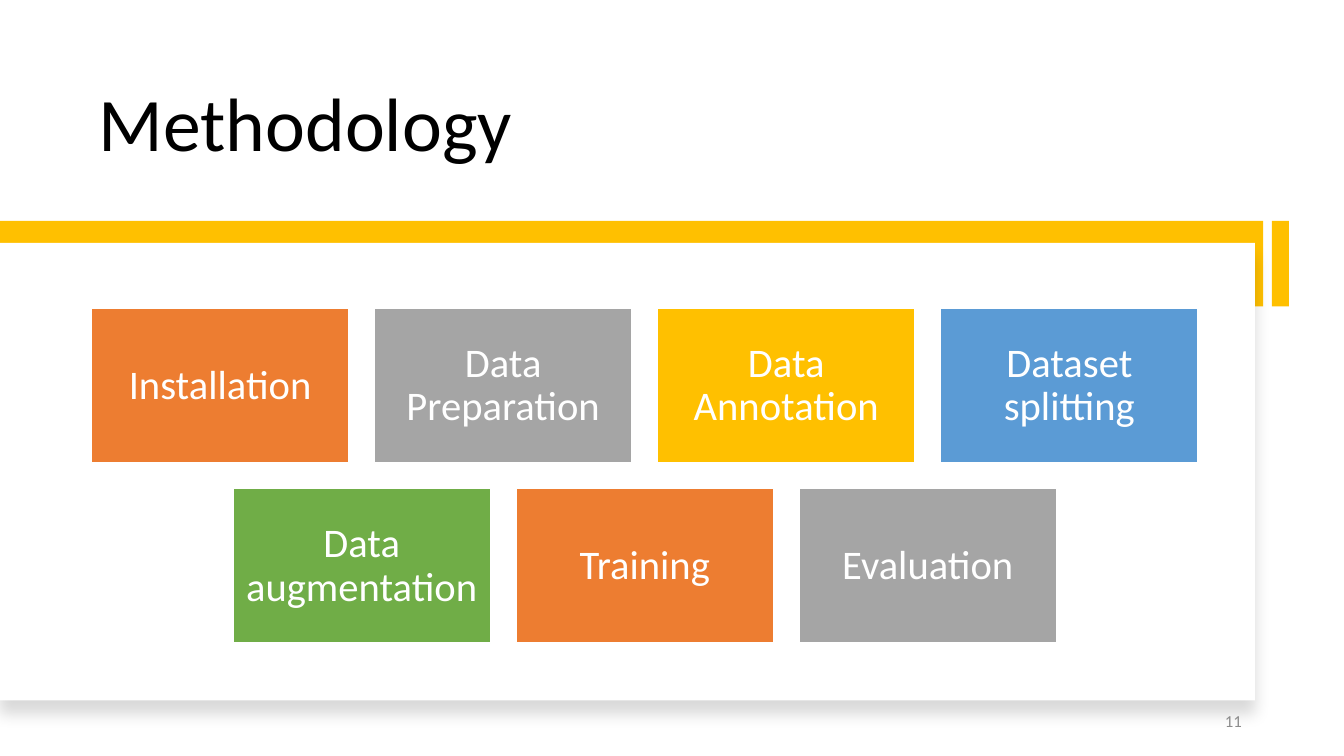
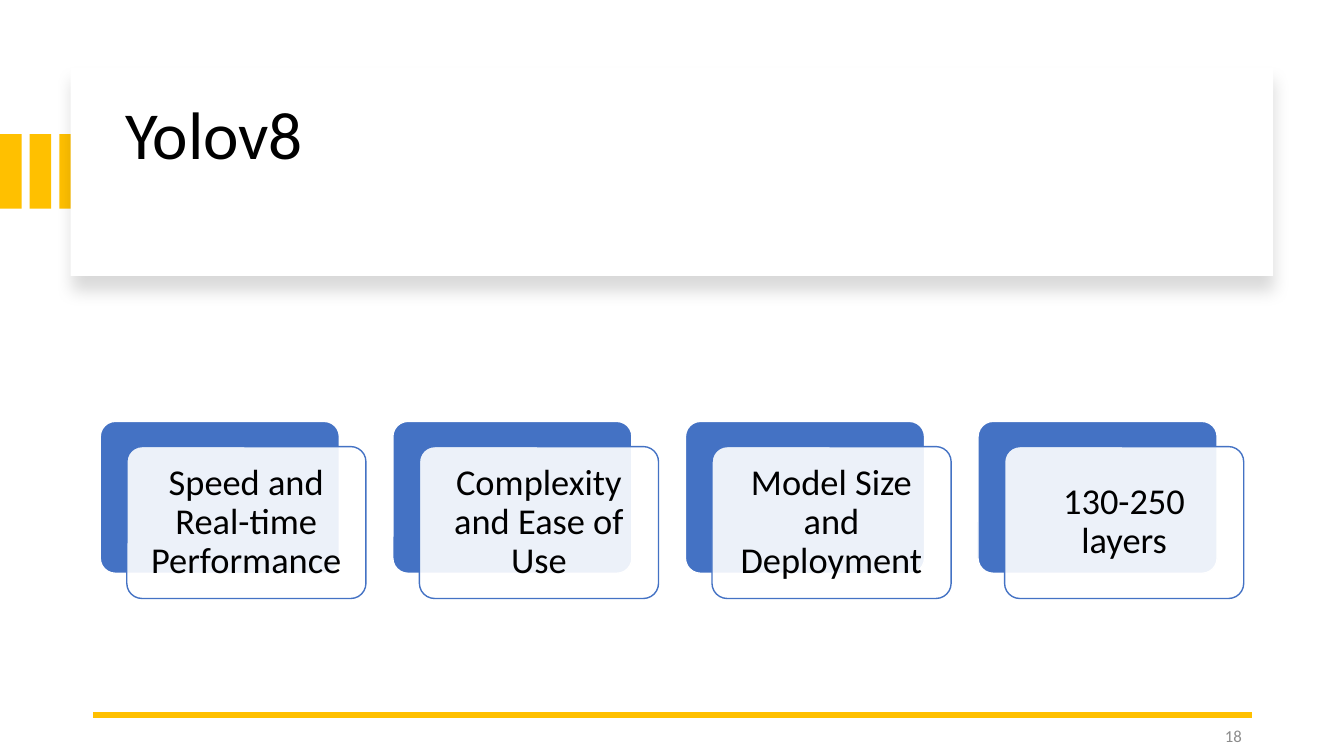
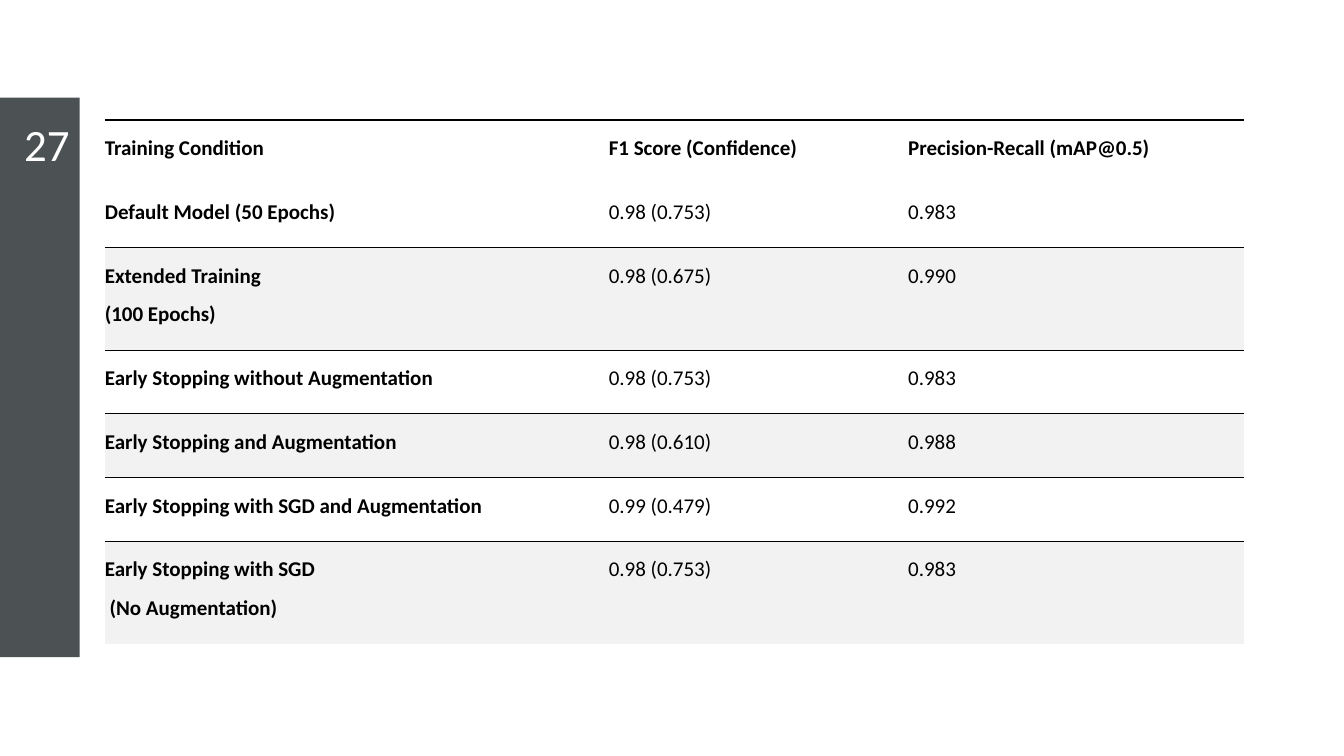
from typing import NamedTuple, Optional

import pptx
import pptx.dml.color
import pptx.enum.shapes
import pptx.enum.text
import pptx.oxml
import pptx.oxml.ns
import pptx.util
from lxml import etree

Pt = pptx.util.Pt
ALIGN = pptx.enum.text.PP_ALIGN
ANCHOR = pptx.enum.text.MSO_ANCHOR
SHAPE = pptx.enum.shapes.MSO_SHAPE
qn = pptx.oxml.ns.qn

FONT = "Calibri"
TITLE_ONLY, BLANK = 5, 6
NO_STYLE_GRID = "{2D5ABB26-0587-4C30-8999-92F81FD0307C}"
COLORS = {
    "white": "FFFFFF",
    "black": "000000",
    "gold": "FFC000",
    "orange": "ED7D31",
    "gray": "A5A5A5",
    "sky": "5B9BD5",
    "green": "70AD47",
    "blue": "4472C4",
    "slate": "4C5254",
    "number": "8C8C8C",
    "stripe": "F2F2F2",
}


class Box(NamedTuple):
    left: float
    top: float
    width: float
    height: float

    def lengths(self) -> list:
        return [Pt(value) for value in self]


class Step(NamedTuple):
    label: str
    color: str


class Result(NamedTuple):
    condition: str
    f1_score: str
    precision_recall: str
    height: float = 45.4


STEP_ROWS = [
    [
        Step("Installation", "orange"),
        Step("Data Preparation", "gray"),
        Step("Data Annotation", "gold"),
        Step("Dataset splitting", "sky"),
    ],
    [
        Step("Data augmentation", "green"),
        Step("Training", "orange"),
        Step("Evaluation", "gray"),
    ],
]
FEATURES = [
    "Speed and Real-time Performance",
    "Complexity and Ease of Use",
    "Model Size and Deployment",
    "130-250 layers",
]
RESULTS = [
    Result("Training Condition", "F1 Score (Confidence)", "Precision-Recall (mAP@0.5)"),
    Result("Default Model (50 Epochs)", "0.98 (0.753)", "0.983"),
    Result("Extended Training\n(100 Epochs)", "0.98 (0.675)", "0.990", 71.4),
    Result("Early Stopping without Augmentation", "0.98 (0.753)", "0.983"),
    Result("Early Stopping and Augmentation", "0.98 (0.610)", "0.988"),
    Result("Early Stopping with SGD and Augmentation", "0.99 (0.479)", "0.992"),
    Result("Early Stopping with SGD\n (No Augmentation)", "0.98 (0.753)", "0.983", 71.4),
]


def rgb(name: str):
    return pptx.dml.color.RGBColor.from_string(COLORS[name])


def write(frame, text: str, *, size: float, color: str = "black", bold: bool = False,
          align=ALIGN.LEFT, spacing: float = 1.0, anchor=None,
          insets: Optional[tuple] = None) -> None:
    if anchor is not None:
        frame.word_wrap = True
        frame.auto_size = pptx.enum.text.MSO_AUTO_SIZE.NONE
        frame.vertical_anchor = anchor
    if insets is not None:
        (frame.margin_left, frame.margin_top,
         frame.margin_right, frame.margin_bottom) = [Pt(inset) for inset in insets]
    frame.text = text
    for paragraph in frame.paragraphs:
        paragraph.alignment = align
        paragraph.line_spacing = spacing
        for run in paragraph.runs:
            run.font.name = FONT
            run.font.size = Pt(size)
            run.font.bold = bold
            run.font.color.rgb = rgb(color)


def add_block(slide, box: Box, fill: str, *, line: Optional[str] = None,
              corner: Optional[float] = None, opacity: int = 100):
    kind = SHAPE.RECTANGLE if corner is None else SHAPE.ROUNDED_RECTANGLE
    block = slide.shapes.add_shape(kind, *box.lengths())
    block.shadow.inherit = False
    if corner is not None:
        block.adjustments[0] = corner
    block.fill.solid()
    block.fill.fore_color.rgb = rgb(fill)
    if opacity < 100:
        fill_color = block.element.spPr.find(qn("a:solidFill"))[0]
        etree.SubElement(fill_color, qn("a:alpha")).set("val", str(opacity * 1000))
    if line is None:
        block.line.fill.background()
    else:
        block.line.color.rgb = rgb(line)
        block.line.width = Pt(1)
    return block


def add_panel(slide, box: Box) -> None:
    panel = add_block(slide, box, "white")
    effects = panel.element.spPr.find(qn("a:effectLst"))
    shadow = etree.SubElement(effects, qn("a:outerShdw"), blurRad=str(Pt(11)),
                              dist=str(Pt(10)), dir="5400000", algn="t", rotWithShape="0")
    shade = etree.SubElement(shadow, qn("a:srgbClr"), val=COLORS["black"])
    etree.SubElement(shade, qn("a:alpha"), val="15000")


def set_title(slide, text: str, box: Box, *, size: float, anchor,
              insets: tuple = (7.2, 3.6, 7.2, 3.6)) -> None:
    title = slide.shapes.title
    title.left, title.top, title.width, title.height = box.lengths()
    title.element.getparent().append(title.element)
    write(title.text_frame, text, size=size, spacing=0.9, anchor=anchor, insets=insets)


def add_number(slide, number: str, box: Box, *, size: float = 12,
               color: str = "number") -> None:
    label = slide.shapes.add_textbox(*box.lengths())
    write(label.text_frame, number, size=size, color=color,
          align=ALIGN.RIGHT, anchor=ANCHOR.MIDDLE)


def set_top_border(cell, width: float) -> None:
    properties = cell._tc.get_or_add_tcPr()
    border = etree.Element(qn("a:lnT"), w=str(Pt(width)))
    fill = etree.SubElement(border, qn("a:solidFill"))
    etree.SubElement(fill, qn("a:srgbClr"), val=COLORS["black"])
    properties.insert(0, border)


def build_methodology(deck) -> None:
    slide = deck.slides.add_slide(deck.slide_layouts[TITLE_ONLY])
    add_block(slide, Box(908.6, 157.7, 12.2, 61.2), "gold")
    add_block(slide, Box(0, 157.7, 902.2, 61.2), "gold")
    add_panel(slide, Box(0, 173.5, 896.4, 326.9))
    set_title(slide, "Methodology", Box(63.4, 30.2, 727.2, 93.6),
              size=54, anchor=ANCHOR.BOTTOM)

    center, top, width = 460.6, 220.5, 183.8
    height, gap = width * 0.6, width * 0.1
    for row, steps in enumerate(STEP_ROWS):
        left = center - (len(steps) * (width + gap) - gap) / 2
        for column, step in enumerate(steps):
            tile = add_block(slide, Box(left + column * (width + gap),
                                        top + row * (height + gap), width, height),
                             step.color, line="white")
            write(tile.text_frame, step.label, size=29, color="white", align=ALIGN.CENTER,
                  spacing=0.9, anchor=ANCHOR.MIDDLE, insets=(8.6,) * 4)
    add_number(slide, "11", Box(678.2, 500.4, 216, 28.8))


def build_yolo(deck) -> None:
    slide = deck.slides.add_slide(deck.slide_layouts[TITLE_ONLY])
    for stripe in range(3):
        add_block(slide, Box(stripe * 21.2, 95.8, 15.4, 53.3), "gold")
    add_panel(slide, Box(50.4, 48.2, 859, 149))
    set_title(slide, "Yolov8", Box(82.1, 64.1, 801.4, 122.4),
              size=48, anchor=ANCHOR.TOP, insets=(7.2, 8.5, 7.2, 3.6))

    rule = slide.shapes.add_connector(pptx.enum.shapes.MSO_CONNECTOR.STRAIGHT,
                                      Pt(894.2), Pt(510.5), Pt(66.2), Pt(510.5))
    rule.line.color.rgb = rgb("gold")
    rule.line.width = Pt(4.5)
    etree.SubElement(rule.element.spPr, qn("a:effectLst"))
    add_number(slide, "18", Box(678.2, 511.2, 216, 28.8))

    for index, feature in enumerate(FEATURES):
        back = Box(71.6 + index * 209, 301, 170.8, 108.5)
        add_block(slide, back, "blue", line="white", corner=0.1)
        front = back._replace(left=back.left + 19, top=back.top + 18)
        card = add_block(slide, front, "white", line="blue", corner=0.1, opacity=90)
        write(card.text_frame, feature, size=26, align=ALIGN.CENTER, spacing=0.9,
              anchor=ANCHOR.MIDDLE, insets=(8,) * 4)


def build_results(deck) -> None:
    slide = deck.slides.add_slide(deck.slide_layouts[BLANK])
    add_block(slide, Box(0, 69.8, 56.9, 399.6), "slate")
    add_number(slide, "27", Box(0, 78.5, 56.9, 47.5), size=32, color="white")

    widths = [360, 213.8, 239.8]
    area = Box(74.9, 85.7, sum(widths), sum(result.height for result in RESULTS))
    frame = slide.shapes.add_table(len(RESULTS), len(widths), *area.lengths())
    table = frame.table
    table.first_row = table.horz_banding = False
    next(frame.element.iter(qn("a:tableStyleId"))).text = NO_STYLE_GRID
    for column, width in zip(table.columns, widths):
        column.width = Pt(width)

    for row, result in enumerate(RESULTS):
        table.rows[row].height = Pt(result.height)
        striped = row > 0 and row % 2 == 0
        for column, text in enumerate(result[:len(widths)]):
            cell = table.cell(row, column)
            cell.margin_left, cell.margin_top = Pt(0), Pt(2)
            cell.margin_right, cell.margin_bottom = Pt(5), Pt(16)
            write(cell.text_frame, text, size=15, bold=row == 0 or column == 0,
                  align=ALIGN.JUSTIFY, spacing=1.5)
            if striped:
                cell.fill.solid()
                cell.fill.fore_color.rgb = rgb("stripe")
            else:
                cell.fill.background()
            if row == 0 or striped:
                set_top_border(cell, 0.5 if striped else 2.25)


def main() -> None:
    deck = pptx.Presentation()
    deck.slide_width, deck.slide_height = Pt(960), Pt(540)
    build_methodology(deck)
    build_yolo(deck)
    build_results(deck)
    deck.save("out.pptx")


if __name__ == "__main__":
    main()
